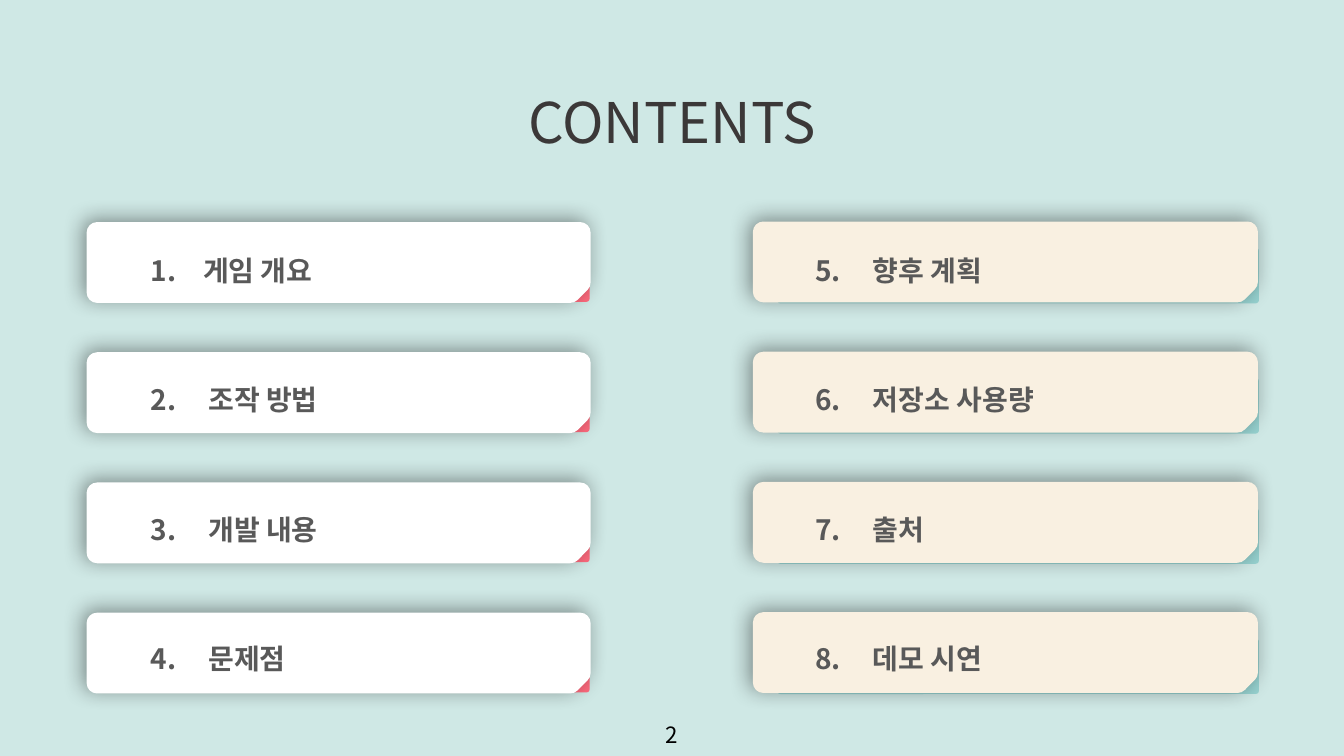
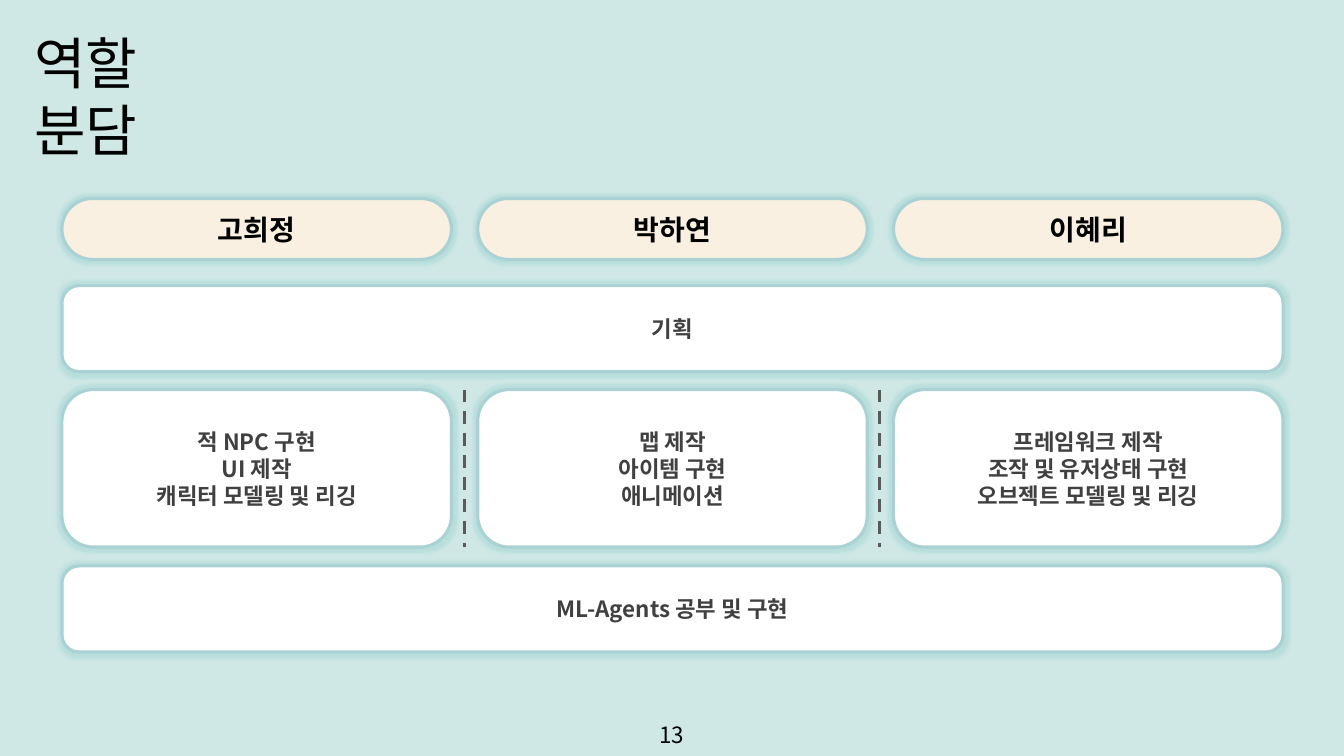
from dataclasses import dataclass

from lxml.etree import SubElement
from pptx import Presentation
from pptx.dml.color import RGBColor
from pptx.enum.dml import MSO_LINE
from pptx.enum.shapes import MSO_CONNECTOR, MSO_SHAPE as SHAPE
from pptx.enum.text import MSO_ANCHOR as ANCHOR, MSO_AUTO_SIZE, PP_ALIGN as ALIGN
from pptx.oxml.ns import qn
from pptx.slide import Slide
from pptx.util import Emu, Pt

# Shared look
FONT = "Noto Sans CJK KR"
MINT = RGBColor(0xCF, 0xE8, 0xE5)
WHITE = RGBColor(0xFF, 0xFF, 0xFF)
CREAM = RGBColor(0xF9, 0xF0, 0xE1)
CORAL = RGBColor(0xFF, 0x6B, 0x7E)
TEAL = RGBColor(0x96, 0xD1, 0xCF)
EDGE = RGBColor(0xAA, 0xD2, 0xD5)
BLACK = RGBColor(0, 0, 0)
CHARCOAL = RGBColor(0x3B, 0x38, 0x38)
DARK = RGBColor(0x40, 0x40, 0x40)
GRAY = RGBColor(0x59, 0x59, 0x59)

PX = 9525  # EMU per px; the slide is 1280 x 720 px


@dataclass(frozen=True)
class Box:
    x: int
    y: int
    w: int
    h: int

    def emu(self) -> tuple[Emu, Emu, Emu, Emu]:
        return Emu(self.x * PX), Emu(self.y * PX), Emu(self.w * PX), Emu(self.h * PX)


@dataclass(frozen=True)
class Entry:
    number: str
    label: str
    tab: int = 55


@dataclass(frozen=True)
class Column:
    card: Box
    corner: Box
    text_x: int
    fill: RGBColor
    corner_fill: RGBColor
    entries: tuple[Entry, ...]


@dataclass(frozen=True)
class Member:
    name: str
    tasks: str


# Contents of the slides
COLUMNS = (
    Column(Box(93, 221, 460, 57), Box(113, 239, 449, 48), 134, WHITE, CORAL,
           (Entry("1.", "게임 개요", 50), Entry("2.", "조작 방법"),
            Entry("3.", "개발 내용"), Entry("4.", "문제점"))),
    Column(Box(727, 221, 461, 57), Box(740, 236, 459, 53), 767, CREAM, TEAL,
           (Entry("5.", "향후 계획"), Entry("6.", "저장소 사용량"),
            Entry("7.", "출처"), Entry("8.", "데모 시연"))),
)
CARD_PITCH, TEXT_PITCH = 124, 123

MEMBERS = (
    Member("고희정", "적 NPC 구현\nUI 제작\n캐릭터 모델링 및 리깅"),
    Member("박하연", "맵 제작\n아이템 구현\n애니메이션"),
    Member("이혜리", "프레임워크 제작\n조작 및 유저상태 구현\n오브젝트 모델링 및 리깅"),
)
MEMBER_X, MEMBER_W, MEMBER_GAP = 59, 371, 25
MEMBER_PITCH = MEMBER_W + MEMBER_GAP
FULL_W = len(MEMBERS) * MEMBER_PITCH - MEMBER_GAP
TASK_Y, TASK_H = 371, 150


def write(tf, text: str, *, size: int, color: RGBColor, bold: bool = False,
          align=ALIGN.LEFT, anchor=ANCHOR.TOP, spacing: float = 1.0,
          tab: int = 0) -> None:
    """Fill a text frame, one paragraph per line of text."""
    tf.word_wrap = True
    tf.auto_size = MSO_AUTO_SIZE.NONE
    tf.vertical_anchor = anchor
    for i, line in enumerate(text.split("\n")):
        p = tf.paragraphs[0] if i == 0 else tf.add_paragraph()
        p.alignment = align
        p.line_spacing = spacing
        if tab:
            tabs = SubElement(p._p.get_or_add_pPr(), qn("a:tabLst"))
            SubElement(tabs, qn("a:tab"), pos=str(tab * PX), algn="l")
        r = p.add_run()
        r.text = line
        r.font.name, r.font.size, r.font.bold = FONT, Pt(size), bold
        r.font.color.rgb = color
        SubElement(r._r.get_or_add_rPr(), qn("a:ea"), typeface=FONT)


def add_text(s: Slide, box: Box, text: str, **fmt) -> None:
    write(s.shapes.add_textbox(*box.emu()).text_frame, text, **fmt)


def add_titled_slide(prs, title: str, box: Box, page: str, **fmt) -> Slide:
    """Add a title-only slide with its title and page number."""
    s = prs.slides.add_slide(prs.slide_layouts[5])
    ph = s.shapes.title
    ph.left, ph.top, ph.width, ph.height = box.emu()
    write(ph.text_frame, title, size=40, **fmt)
    add_text(s, Box(593, 681, 93, 38), page, size=16, color=BLACK,
             align=ALIGN.CENTER, anchor=ANCHOR.MIDDLE)
    return s


def add_effect(sp, tag: str, color: RGBColor, alpha: int, **attrs: str) -> None:
    effects = sp._element.spPr.find(qn("a:effectLst"))
    clr = SubElement(SubElement(effects, qn(tag), **attrs), qn("a:srgbClr"), val=str(color))
    SubElement(clr, qn("a:alpha"), val=str(alpha * 1000))


def add_filled(s: Slide, kind, box: Box, fill: RGBColor, *, line: RGBColor | None = None,
               width: float = 0, adj: float | None = None, turned: bool = False):
    """Draw a preset shape; a turned one is rotated 90 degrees to cover the box."""
    if turned:
        shift = (box.w - box.h) // 2
        box = Box(box.x + shift, box.y - shift, box.h, box.w)
    sp = s.shapes.add_shape(kind, *box.emu())
    sp.shadow.inherit = False
    sp.rotation = 90 if turned else 0
    if adj is not None:
        sp.adjustments[0] = adj
    sp.fill.solid()
    sp.fill.fore_color.rgb = fill
    if line is None:
        sp.line.fill.background()
    else:
        sp.line.color.rgb = line
        sp.line.width = Pt(width)
    return sp


def add_contents_card(s: Slide, col: Column, row: int, entry: Entry) -> None:
    def moved(box: Box) -> Box:
        return Box(box.x, box.y + row * CARD_PITCH, box.w, box.h)

    add_filled(s, SHAPE.ROUNDED_RECTANGLE, moved(col.corner), col.corner_fill,
               adj=0.06, turned=True)
    card = add_filled(s, SHAPE.SNIP_1_RECTANGLE, moved(col.card), col.fill,
                      line=col.fill, width=15, turned=True)
    add_effect(card, "a:outerShdw", BLACK, 40, blurRad=str(Pt(15)), dist=str(Pt(4)),
               dir=str(225 * 60000), algn="ctr", rotWithShape="0")
    add_text(s, Box(col.text_x, col.card.y + row * TEXT_PITCH, 450, 54),
             f"{entry.number}\t{entry.label}", size=20, color=GRAY, bold=True,
             spacing=1.5, tab=entry.tab)


def add_panel(s: Slide, box: Box, text: str, *, fill: RGBColor = WHITE, adj: float = 0.2,
              size: int = 16, color: RGBColor = DARK) -> None:
    """Draw a glowing rounded panel with centred text."""
    sp = add_filled(s, SHAPE.ROUNDED_RECTANGLE, box, fill, line=EDGE, width=2.25, adj=adj)
    add_effect(sp, "a:glow", TEAL, 40, rad=str(Pt(5)))
    write(sp.text_frame, text, size=size, color=color, bold=True,
          align=ALIGN.CENTER, anchor=ANCHOR.MIDDLE)


def add_divider(s: Slide, x: int, top: int, bottom: int) -> None:
    cn = s.shapes.add_connector(MSO_CONNECTOR.STRAIGHT, *(Emu(v * PX) for v in (x, top, x, bottom)))
    cn.line.color.rgb = GRAY
    cn.line.width = Pt(2.25)
    cn.line.dash_style = MSO_LINE.DASH
    SubElement(cn._element.spPr, qn("a:effectLst"))


def build_contents(prs) -> None:
    s = add_titled_slide(prs, "CONTENTS", Box(418, 47, 444, 97), "2",
                         color=CHARCOAL, align=ALIGN.CENTER, spacing=1.5)
    for col in COLUMNS:
        for row, entry in enumerate(col.entries):
            add_contents_card(s, col, row, entry)


def build_roles(prs) -> None:
    s = add_titled_slide(prs, "역할 분담", Box(23, 22, 200, 136), "13", color=BLACK)
    # Work shared by everyone
    for y, text in ((272, "기획"), (539, "ML-Agents 공부 및 구현")):
        add_panel(s, Box(MEMBER_X, y, FULL_W, 82), text)
    # One column per member
    for i, member in enumerate(MEMBERS):
        x = MEMBER_X + i * MEMBER_PITCH
        add_panel(s, Box(x, 189, MEMBER_W, 58), member.name,
                  fill=CREAM, adj=0.5, size=20, color=BLACK)
        add_panel(s, Box(x, TASK_Y, MEMBER_W, TASK_H), member.tasks)
        if i:
            add_divider(s, x - MEMBER_GAP // 2 - 1, TASK_Y, TASK_Y + TASK_H)


def main() -> None:
    prs = Presentation()
    prs.slide_width, prs.slide_height = Emu(1280 * PX), Emu(720 * PX)
    bg = prs.slide_master.background.fill
    bg.solid()
    bg.fore_color.rgb = MINT
    build_contents(prs)
    build_roles(prs)
    prs.save("out.pptx")


if __name__ == "__main__":
    main()
